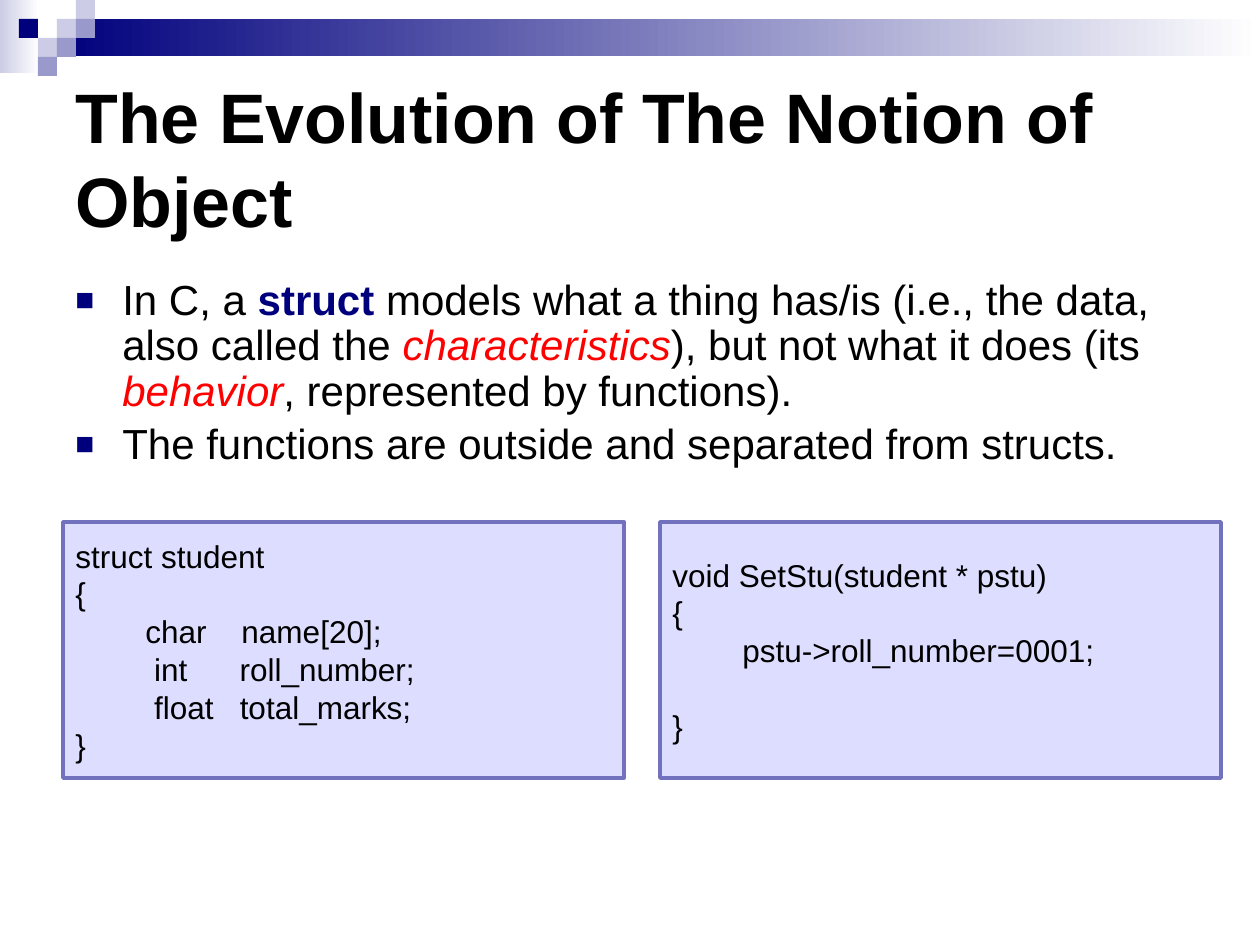
from dataclasses import dataclass

from lxml.etree import SubElement
from pptx import Presentation
from pptx.dml.color import RGBColor
from pptx.enum.shapes import MSO_SHAPE
from pptx.enum.text import MSO_ANCHOR, PP_ALIGN
from pptx.oxml.ns import qn
from pptx.util import Emu, Pt


@dataclass(frozen=True)
class Theme:
    font: str = "Arial"
    ink: str = "000000"
    paper: str = "FFFFFF"
    navy: str = "00007D"
    lavender: str = "CCCCE6"
    violet: str = "9999CC"
    accent: str = "FF0000"
    code_fill: str = "DDDDFF"
    code_line: str = "7171BD"
    title_size: int = 40
    body_size: int = 24
    code_size: int = 18


THEME = Theme()
PX = 914400 / 126

TITLE = "The Evolution of The Notion of Object"
BULLETS = [
    [
        ("In C, a ", "plain"),
        ("struct", "keyword"),
        (" models what a thing has/is (i.e., the data, also called the ", "plain"),
        ("characteristics", "term"),
        ("), but not what it does (its ", "plain"),
        ("behavior", "term"),
        (", represented by functions).", "plain"),
    ],
    [("The functions are outside and separated from structs.", "plain")],
]
CODE_PANELS = [
    [
        "struct student",
        "{",
        "        char    name[20];",
        "         int      roll_number;",
        "         float   total_marks;",
        "}",
    ],
    [
        "void SetStu(student * pstu)",
        "{",
        "        pstu->roll_number=0001;",
        " ",
        "}",
    ],
]
STYLES = {
    "plain": (THEME.ink, {}),
    "keyword": (THEME.navy, {"bold": True}),
    "term": (THEME.accent, {"italic": True}),
}

BANDS = [
    ((0, 0, 39, 73), THEME.lavender),
    ((57, 19, 1203, 37), THEME.navy),
]
TILE = 19
TILES = [
    (3, 1, THEME.lavender),
    (4, 0, THEME.lavender),
    (4, 1, THEME.violet),
    (2, 2, THEME.lavender),
    (1, 1, THEME.navy),
    (3, 2, THEME.violet),
    (2, 3, THEME.violet),
]
TITLE_AREA = (63, 63, 1134, 189)
BODY_AREA = (63, 273, 1134, 536)
PANEL_LEFT, PANEL_TOP, PANEL_WIDTH, PANEL_HEIGHT, PANEL_GAP = 63, 522, 561, 256, 36
BULLET_INDENT = 47


def px(length):
    return Emu(round(length * PX))


def rgb(colour):
    return RGBColor.from_string(colour)


def add_block(slide, area):
    block = slide.shapes.add_shape(MSO_SHAPE.RECTANGLE, *map(px, area))
    block.shadow.inherit = False
    block.line.fill.background()
    return block


def paint(block, colour):
    block.fill.solid()
    block.fill.fore_color.rgb = rgb(colour)


def add_run(paragraph, text, size, colour=THEME.ink, emphasis=None):
    run = paragraph.add_run()
    run.text = text
    run.font.color.rgb = rgb(colour)
    formats = {"name": THEME.font, "size": Pt(size), **(emphasis or {})}
    for attribute, value in formats.items():
        setattr(run.font, attribute, value)


def add_text_area(slide, area):
    frame = slide.shapes.add_textbox(*map(px, area)).text_frame
    frame.word_wrap = True
    return frame


def paragraphs(frame, entries):
    for index, entry in enumerate(entries):
        yield frame.add_paragraph() if index else frame.paragraphs[0], entry


def add_bullet(paragraph):
    properties = paragraph._p.get_or_add_pPr()
    properties.set("marL", str(px(BULLET_INDENT)))
    properties.set("indent", str(px(-BULLET_INDENT)))
    colour = SubElement(properties, qn("a:buClr"))
    SubElement(colour, qn("a:srgbClr"), val=THEME.navy)
    SubElement(properties, qn("a:buSzPct"), val="75000")
    SubElement(properties, qn("a:buFont"), typeface=THEME.font)
    SubElement(properties, qn("a:buChar"), char="■")


def draw_header(slide):
    for area, colour in BANDS:
        band = add_block(slide, area)
        band.fill.gradient()
        band.fill.gradient_angle = 0
        for stop, position, shade in zip(
            band.fill.gradient_stops, (0, 1), (colour, THEME.paper)
        ):
            stop.position = position
            stop.color.rgb = rgb(shade)
    for column, row, colour in TILES:
        paint(add_block(slide, (column * TILE, row * TILE, TILE, TILE)), colour)


def draw_title(slide):
    frame = add_text_area(slide, TITLE_AREA)
    frame.vertical_anchor = MSO_ANCHOR.MIDDLE
    add_run(frame.paragraphs[0], TITLE, THEME.title_size, emphasis={"bold": True})


def draw_bullets(slide):
    frame = add_text_area(slide, BODY_AREA)
    for paragraph, pieces in paragraphs(frame, BULLETS):
        add_bullet(paragraph)
        paragraph.line_spacing = 0.9
        if pieces is not BULLETS[0]:
            paragraph.space_before = Pt(THEME.body_size * 0.2)
        for text, style in pieces:
            add_run(paragraph, text, THEME.body_size, *STYLES[style])


def draw_code_panels(slide):
    for index, lines in enumerate(CODE_PANELS):
        left = PANEL_LEFT + index * (PANEL_WIDTH + PANEL_GAP)
        panel = add_block(slide, (left, PANEL_TOP, PANEL_WIDTH, PANEL_HEIGHT))
        paint(panel, THEME.code_fill)
        panel.line.color.rgb = rgb(THEME.code_line)
        panel.line.width = Pt(2)
        panel.text_frame.word_wrap = True
        panel.text_frame.vertical_anchor = MSO_ANCHOR.MIDDLE
        for paragraph, line in paragraphs(panel.text_frame, lines):
            paragraph.alignment = PP_ALIGN.LEFT
            add_run(paragraph, line, THEME.code_size)


def main():
    deck = Presentation()
    deck.slide_width, deck.slide_height = px(1260), px(945)
    slide = deck.slides.add_slide(deck.slide_layouts[6])
    draw_header(slide)
    draw_title(slide)
    draw_bullets(slide)
    draw_code_panels(slide)
    deck.save("out.pptx")


if __name__ == "__main__":
    main()
